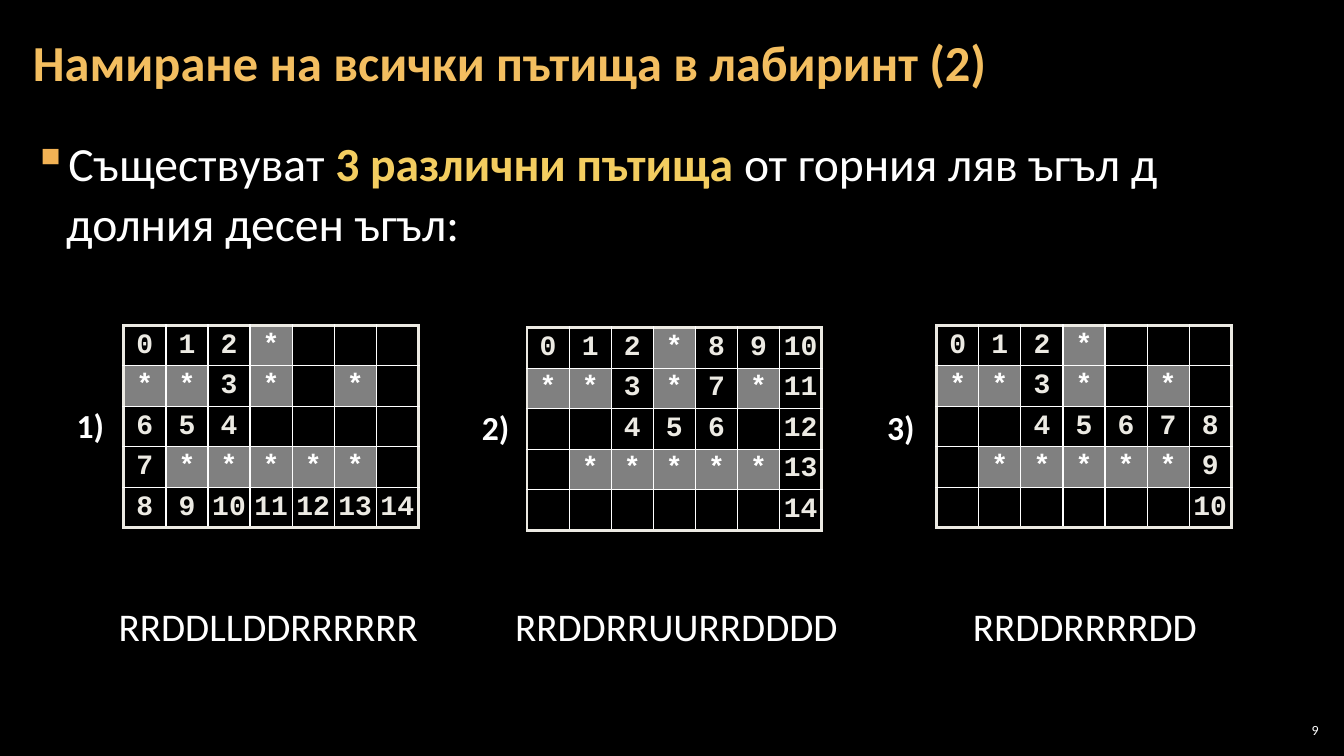
"""Build the slide that shows the three paths through a labyrinth."""
from lxml.etree import SubElement
from pptx import Presentation
from pptx.dml.color import RGBColor
from pptx.enum.text import MSO_ANCHOR, MSO_AUTO_SIZE, PP_ALIGN
from pptx.oxml.ns import qn
from pptx.util import Cm, Pt

BLACK = RGBColor(0x00, 0x00, 0x00)
WHITE = RGBColor(0xFF, 0xFF, 0xFF)
IVORY = RGBColor(0xEC, 0xEA, 0xE3)
GRAY = RGBColor(0x80, 0x80, 0x80)
GOLD = RGBColor(0xF3, 0xBE, 0x60)
YELLOW = RGBColor(0xF3, 0xCD, 0x60)
ORANGE = RGBColor(0xF2, 0xB2, 0x54)

TITLE = "Намиране на всички пътища в лабиринт (2)"
BODY = [
    ("Съществуват ", WHITE, False),
    ("3 различни пътища ", YELLOW, True),
    ("от горния ляв ъгъл д долния десен ъгъл:", WHITE, False),
]
PAGE = "9"
MAZE = [
    "   *   ",
    "** * * ",
    "       ",
    " ***** ",
    "       ",
]
STEPS = {"R": (0, 1), "L": (0, -1), "D": (1, 0), "U": (-1, 0)}
# label, moves, table (left, top), label (left, top), moves (left, width)
PATHS = [
    ("1)", "RRDDLLDDRRRRRR", (3.12, 8.2), (1.68, 10.08), (2.74, 8.15)),
    ("2)", "RRDDRRUURRDDDD", (13.28, 8.26), (11.89, 10.13), (12.73, 8.74)),
    ("3)", "RRDDRRRRDD", (23.6, 8.2), (22.1, 10.13), (24.26, 6.22)),
]
COL_W, ROW_H = 1.06, 1.02
MOVES_TOP = 15.06


def style(r, size, color, bold=False, font="Calibri"):
    r.font.size, r.font.bold, r.font.name = Pt(size), bold, font
    r.font.color.rgb = color


def add_box(s, box, runs, size, inset=(0.3, 0.1), anchor=MSO_ANCHOR.MIDDLE):
    tf = s.shapes.add_textbox(*map(Cm, box)).text_frame
    tf.word_wrap = True
    tf.vertical_anchor = anchor
    tf.margin_left = tf.margin_right = Cm(inset[0])
    tf.margin_top = tf.margin_bottom = Cm(inset[1])
    p = tf.paragraphs[0]
    for text, color, bold in runs:
        r = p.add_run()
        r.text = text
        style(r, size, color, bold)
    return tf


def add_label(s, box, text, size, bold):
    tf = add_box(s, box, [(text, WHITE, bold)], size, (0.25, 0.13), MSO_ANCHOR.TOP)
    tf.word_wrap = False
    tf.auto_size = MSO_AUTO_SIZE.SHAPE_TO_FIT_TEXT


def add_bullet(p):
    pPr = p._p.get_or_add_pPr()
    pPr.set("marL", str(Cm(0.84)))
    pPr.set("indent", str(-Cm(0.84)))
    SubElement(SubElement(pPr, qn("a:buClr")), qn("a:srgbClr"), val=str(ORANGE))
    SubElement(pPr, qn("a:buChar"), char="▪")


def set_border(cell, side, outer):
    color, width = (IVORY, 2.25) if outer else (WHITE, 1)
    tcPr = cell._tc.get_or_add_tcPr()
    ln = SubElement(tcPr, qn("a:ln" + side), w=str(Pt(width)))
    SubElement(SubElement(ln, qn("a:solidFill")), qn("a:srgbClr"), val=str(color))


def walk(moves):
    row = col = 0
    numbers = {(row, col): "0"}
    for n, move in enumerate(moves, 1):
        row, col = row + STEPS[move][0], col + STEPS[move][1]
        numbers[row, col] = str(n)
    return numbers


def add_maze(s, left, top, moves):
    rows, cols = len(MAZE), len(MAZE[0])
    table = s.shapes.add_table(rows, cols, Cm(left), Cm(top),
                               Cm(cols * COL_W), Cm(rows * ROW_H)).table
    table.first_row = table.horz_banding = False
    for column in table.columns:
        column.width = Cm(COL_W)
    for row in table.rows:
        row.height = Cm(ROW_H)
    numbers = walk(moves)
    for i, line in enumerate(MAZE):
        for j, mark in enumerate(line):
            cell = table.cell(i, j)
            wall = mark == "*"
            edges = {"L": j == 0, "R": j == cols - 1, "T": i == 0, "B": i == rows - 1}
            for side, outer in edges.items():
                set_border(cell, side, outer)
            if wall:
                cell.fill.solid()
                cell.fill.fore_color.rgb = GRAY
            else:
                cell.fill.background()
            cell.vertical_anchor = MSO_ANCHOR.MIDDLE
            cell.margin_left = cell.margin_right = Cm(0.1)
            cell.margin_top = cell.margin_bottom = 0
            p = cell.text_frame.paragraphs[0]
            p.text = mark if wall else numbers.get((i, j), "")
            p.alignment, p.space_before = PP_ALIGN.CENTER, Pt(6)
            for r in p.runs:
                style(r, 20, WHITE if wall else IVORY, True, "Courier New")


def main():
    prs = Presentation()
    prs.slide_width, prs.slide_height = Cm(33.86), Cm(19.05)
    s = prs.slides.add_slide(prs.slide_layouts[6])
    s.background.fill.solid()
    s.background.fill.fore_color.rgb = BLACK

    tf = add_box(s, (32.13, 18.14, 1.19, 0.53), [(PAGE, WHITE, False)], 10, (0.1, 0.1))
    tf.paragraphs[0].alignment = PP_ALIGN.RIGHT

    tf = add_box(s, (0.53, 3.2, 32.79, 15.47), BODY, 34, anchor=MSO_ANCHOR.TOP)
    p = tf.paragraphs[0]
    p.line_spacing = 1.05
    p.space_before = p.space_after = Pt(6)
    add_bullet(p)

    tf = add_box(s, (0.53, 0.1, 26.59, 3.07), [(TITLE, GOLD, True)], 36)
    tf.paragraphs[0].line_spacing = 0.9

    for label, moves, maze_at, label_at, (moves_left, moves_w) in PATHS:
        add_maze(s, *maze_at, moves)
        add_label(s, (*label_at, 1.22, 1.32), label, 24, True)
        add_label(s, (moves_left, MOVES_TOP, moves_w, 1.45), moves, 28, False)

    prs.save("out.pptx")


if __name__ == "__main__":
    main()
